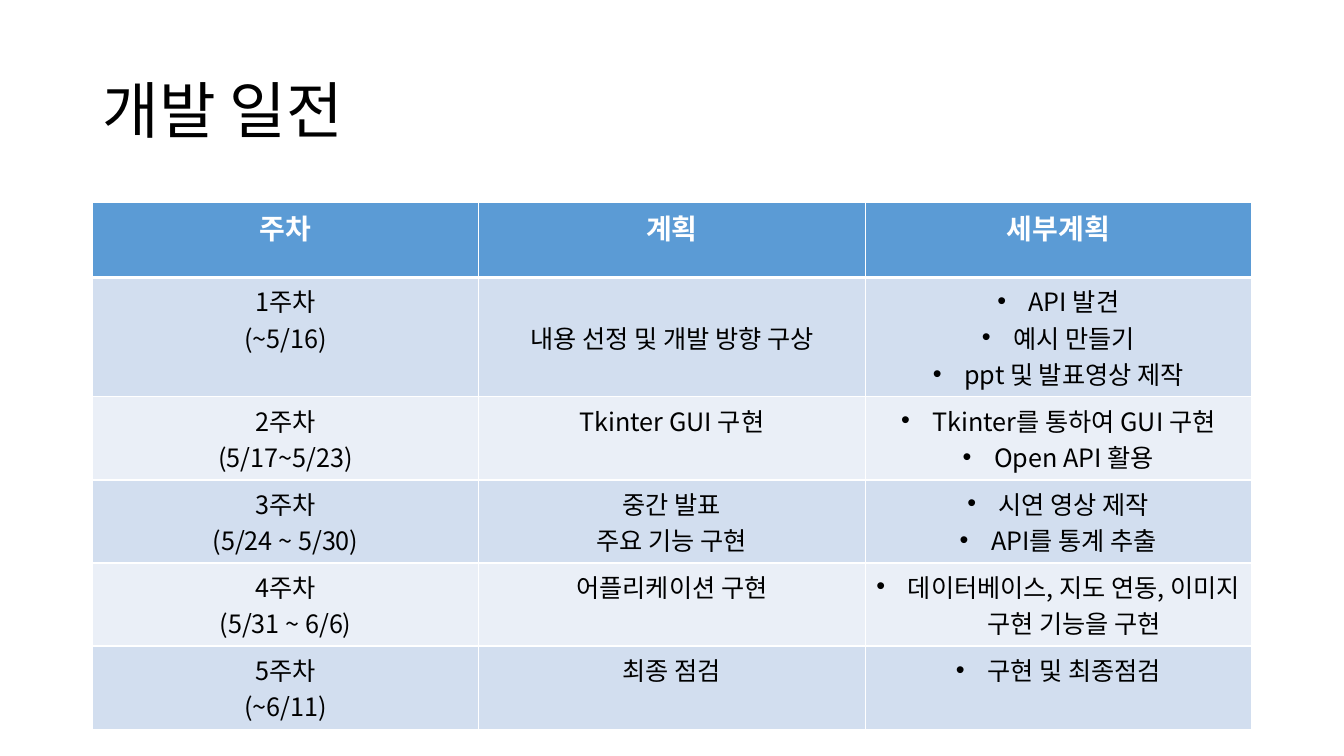
from lxml import etree
from pptx import Presentation
from pptx.dml.color import RGBColor
from pptx.enum.text import MSO_ANCHOR, PP_ALIGN
from pptx.oxml.ns import qn
from pptx.util import Cm, Pt

LEFT, CENTER = PP_ALIGN.LEFT, PP_ALIGN.CENTER
TOP, MIDDLE = MSO_ANCHOR.TOP, MSO_ANCHOR.MIDDLE

HEADINGS = ["주차", "계획", "세부계획"]
WEEKS = [
    (["1주차", "(~5/16)"], ["내용 선정 및 개발 방향 구상"],
     ["API 발견", "예시 만들기", "ppt 및 발표영상 제작"]),
    (["2주차", "(5/17~5/23)"], ["Tkinter GUI 구현"],
     ["Tkinter를 통하여 GUI 구현", "Open API 활용"]),
    (["3주차", "(5/24 ~ 5/30)"], ["중간 발표", "주요 기능 구현"],
     ["시연 영상 제작", "API를 통계 추출"]),
    (["4주차", "(5/31 ~ 6/6)"], ["어플리케이션 구현"],
     ["데이터베이스, 지도 연동, 이미지 구현 기능을 구현"]),
    (["5주차", "(~6/11)"], ["최종 점검"], ["구현 및 최종점검"]),
]


def rgb(value):
    return RGBColor.from_string(value)


def add_bullet(p, indent):
    pPr = p._p.get_or_add_pPr()
    pPr.set("marL", str(indent))
    pPr.set("indent", str(-indent))
    etree.SubElement(pPr, qn("a:buFont"), typeface="Arial")
    etree.SubElement(pPr, qn("a:buChar"), char="•")


def set_border(cell, side, color, width):
    """Draw one side (L, R, T or B); must run before the cell is filled."""
    tcPr = cell._tc.get_or_add_tcPr()
    ln = etree.SubElement(tcPr, qn("a:ln" + side), w=str(Pt(width)))
    fill = etree.SubElement(ln, qn("a:solidFill"))
    etree.SubElement(fill, qn("a:srgbClr"), val=color)


class Deck:
    font = "Noto Sans CJK KR"
    black, white = "000000", "FFFFFF"
    header, bands = "5B9BD5", ("D2DEEF", "EAEFF7")

    def __init__(self):
        self.prs = Presentation()
        self.prs.slide_width, self.prs.slide_height = Cm(33.87), Cm(19.05)

    def add_slide(self):
        title_only = self.prs.slide_layouts[5]
        self.s = self.prs.slides.add_slide(title_only)

    def set_text(self, tf, lines, size=18, color=black, bold=False,
                 align=CENTER, spacing=None, bullet=False):
        for i, line in enumerate(lines):
            p = tf.add_paragraph() if i else tf.paragraphs[0]
            p.alignment = align
            p.line_spacing = spacing
            if bullet:
                add_bullet(p, Cm(0.79))
            r = p.add_run()
            r.text = line
            r.font.name = self.font
            r.font.size = Pt(size)
            r.font.bold = bold
            r.font.color.rgb = rgb(color)
            etree.SubElement(r._r.get_or_add_rPr(), qn("a:ea"), typeface=self.font)

    def title(self, text, x, y, w, h):
        sp = self.s.shapes.title
        sp.left, sp.top, sp.width, sp.height = Cm(x), Cm(y), Cm(w), Cm(h)
        sp.text_frame.vertical_anchor = MIDDLE
        self.set_text(sp.text_frame, [text], size=44, align=LEFT, spacing=0.9)

    def cell(self, cell, lines, fill, bottom=1, anchor=TOP, **style):
        for side, width in zip("LRTB", (1, 1, 1, bottom)):
            set_border(cell, side, self.white, width)
        cell.fill.solid()
        cell.fill.fore_color.rgb = rgb(fill)
        cell.vertical_anchor = anchor
        self.set_text(cell.text_frame, lines, **style)

    def schedule(self, headings, weeks, x, y, w, row_height):
        rows = len(weeks) + 1
        table = self.s.shapes.add_table(rows, len(headings), Cm(x), Cm(y), Cm(w),
                                        Cm(row_height * rows)).table
        for col, heading in enumerate(headings):
            self.cell(table.cell(0, col), [heading], self.header, bottom=3,
                      size=20, color=self.white, bold=True)
        for row, (week, plan, details) in enumerate(weeks, 1):
            fill = self.bands[(row - 1) % 2]
            plan_anchor = MIDDLE if row == 1 else TOP
            self.cell(table.cell(row, 0), week, fill)
            self.cell(table.cell(row, 1), plan, fill, anchor=plan_anchor)
            self.cell(table.cell(row, 2), details, fill, bullet=True)


def main():
    deck = Deck()
    deck.add_slide()
    deck.title("개발 일전", 2.33, 1.01, 29.21, 3.68)
    deck.schedule(HEADINGS, WEEKS, 2.33, 5.09, 29.21, 1.9)
    deck.prs.save("out.pptx")


if __name__ == "__main__":
    main()
